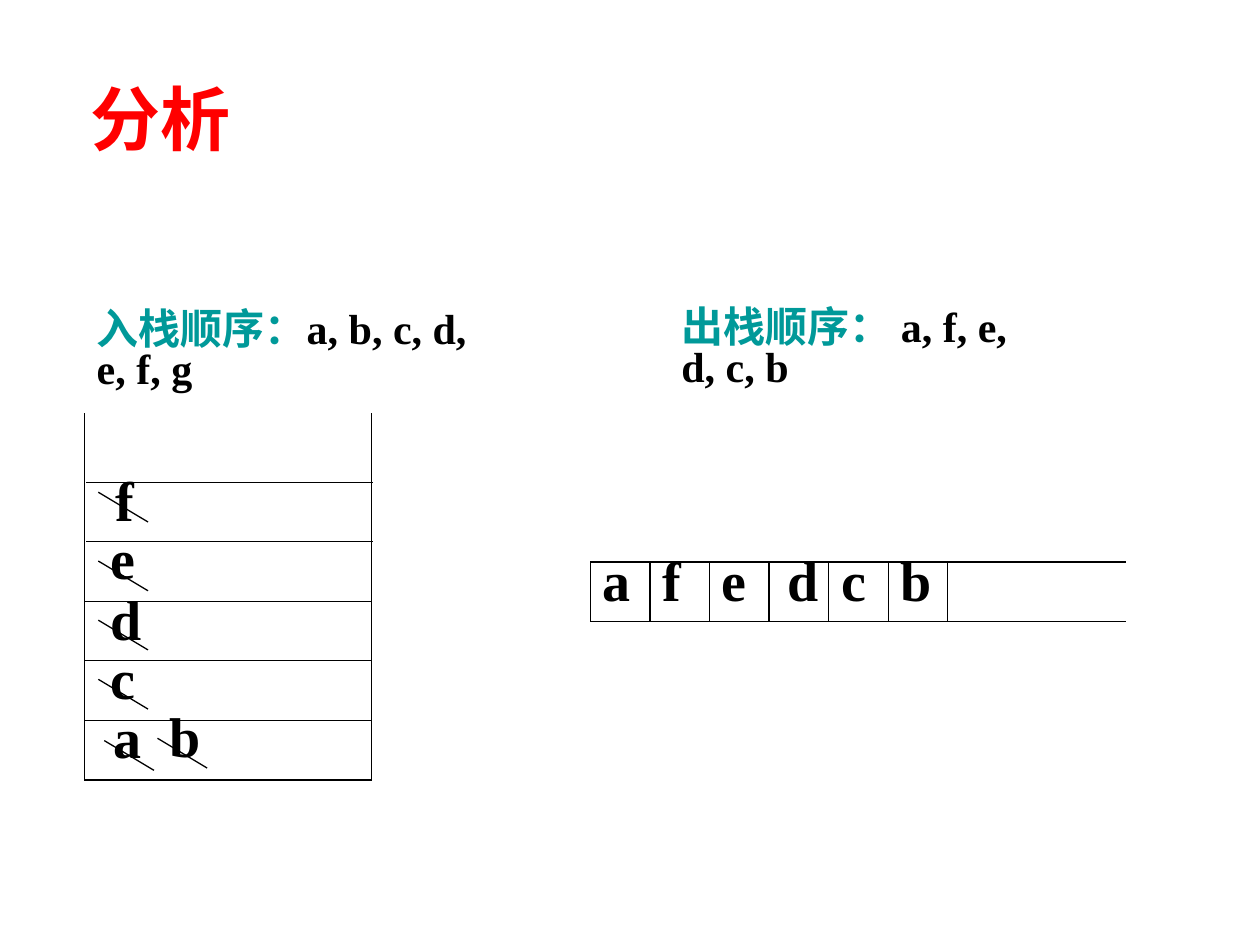
import pptx
import pptx.dml.color
import pptx.enum.shapes
import pptx.enum.text
import pptx.util
from lxml import etree

Pt = pptx.util.Pt
RED = pptx.dml.color.RGBColor(0xFF, 0x00, 0x00)
TEAL = pptx.dml.color.RGBColor(0x00, 0x99, 0x99)
BLACK = pptx.dml.color.RGBColor(0x00, 0x00, 0x00)
BODY_FONT = "Times New Roman"
CELL = 34.03

# Stack geometry
STACK_LEFT, STACK_RIGHT = 48.2, 212.4
STACK_TOP, STACK_BOTTOM = 236.2, 445.7

# Output row geometry
ROW_LEFT, ROW_RIGHT = 337.4, 643.5
ROW_TOP = 321.1


def add_line(slide, x1, y1, x2, y2):
    line = slide.shapes.add_connector(
        pptx.enum.shapes.MSO_CONNECTOR.STRAIGHT, Pt(x1), Pt(y1), Pt(x2), Pt(y2))
    line.line.color.rgb = BLACK
    line.line.width = Pt(0.75)
    etree.SubElement(line.element.spPr, pptx.oxml.ns.qn("a:effectLst"))


def add_text(slide, box, runs, size, font=BODY_FONT, wrap=True):
    """Add one bold paragraph; runs holds (text, colour) pairs."""
    frame = slide.shapes.add_textbox(*map(Pt, box)).text_frame
    frame.word_wrap = wrap
    paragraph = frame.paragraphs[0]
    paragraph.font.size = Pt(size)
    paragraph.font.name = font
    paragraph.font.bold = True
    for text, colour in runs:
        run = paragraph.add_run()
        run.text = text
        run.font.color.rgb = colour
    return frame


def tighten(frame, size):
    frame.paragraphs[0].line_spacing = 0.8
    frame.paragraphs[0].space_before = Pt(size * 0.2)


def add_order(slide, left, top, width, label, letters):
    frame = add_text(slide, (left, top, width, 28.8),
                     [(label, TEAL), (letters, BLACK)], 24)
    tighten(frame, 24)


def add_letter(slide, left, top, letter):
    frame = add_text(slide, (left, top, 33, 45.5), [(letter, BLACK)], 32, wrap=False)
    tighten(frame, 32)


def add_strike(slide, left, top):
    add_line(slide, left, top, left + 28.4, top + 17)


def add_stack(slide):
    # Open-topped container with its shelves
    for x in (STACK_LEFT, STACK_RIGHT):
        add_line(slide, x, STACK_TOP, x, STACK_BOTTOM)
    for level in range(6):
        shift = 1 if level > 3 else 0
        y = STACK_BOTTOM - level * CELL
        add_line(slide, STACK_LEFT + shift, y, STACK_RIGHT + shift, y)

    # Letters, each struck out once popped
    for letter, left, top, strike_left, strike_top in (
            ("a", 57.6, 405.4, 59.6, 423.2),
            ("b", 90, 404.6, 90, 421.9),
            ("c", 56.2, 371.5, 56.2, 388.2),
            ("d", 56.2, 337.7, 56.2, 354.4),
            ("e", 56.2, 303.1, 56.2, 320.6),
            ("f", 59, 270, 56.2, 281.3)):
        add_letter(slide, left, top, letter)
        add_strike(slide, strike_left, strike_top)


def add_output_row(slide):
    for y in (ROW_TOP, ROW_TOP + CELL):
        add_line(slide, ROW_LEFT, y, ROW_RIGHT, y)
    for column in range(7):
        x = ROW_LEFT + column * CELL
        add_line(slide, x, ROW_TOP, x, ROW_TOP + CELL)
    for column, letter in enumerate("afedcb"):
        nudge = 3.2 if letter == "d" else 0
        add_letter(slide, ROW_LEFT + column * CELL + nudge, 315.4, letter)


def main():
    deck = pptx.Presentation()
    deck.slide_width, deck.slide_height = Pt(720), Pt(540)
    slide = deck.slides.add_slide(deck.slide_layouts[6])

    # Title
    title = add_text(slide, (44.6, 22.3, 614.2, 90), [("分析", RED)], 40, "Montserrat")
    title.vertical_anchor = pptx.enum.text.MSO_ANCHOR.MIDDLE

    # Push and pop orders
    add_order(slide, 48.2, 175, 234, "入栈顺序：", "a, b, c, d, e, f, g")
    add_order(slide, 382.3, 173.5, 220.3, "出栈顺序： ", "a, f, e, d, c, b")

    add_stack(slide)
    add_output_row(slide)
    deck.save("out.pptx")


if __name__ == "__main__":
    main()
